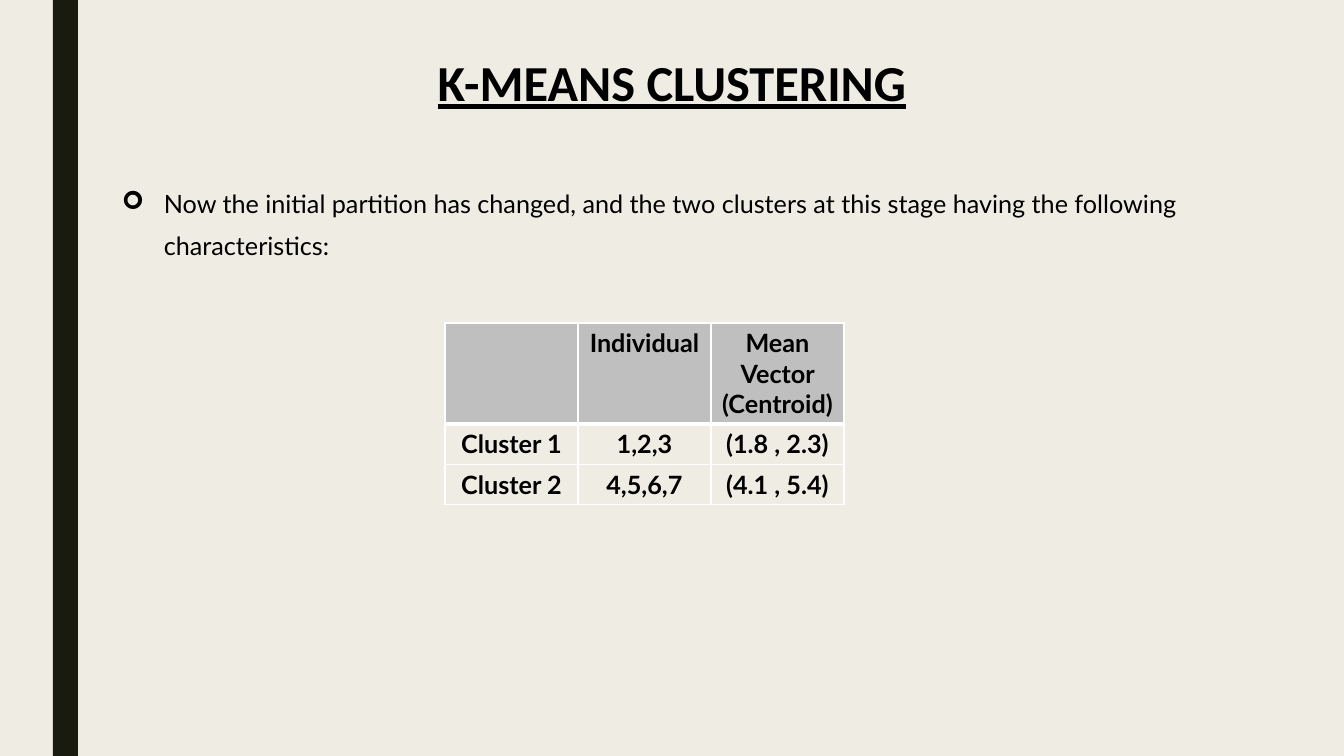
from lxml import etree
from pptx import Presentation
from pptx.dml.color import RGBColor
from pptx.enum.shapes import MSO_SHAPE
from pptx.enum.text import MSO_ANCHOR, MSO_AUTO_SIZE, PP_ALIGN
from pptx.oxml.ns import qn
from pptx.util import Emu, Pt

RECT = MSO_SHAPE.RECTANGLE
MIDDLE = MSO_ANCHOR.MIDDLE
CENTER = PP_ALIGN.CENTER
FIXED = MSO_AUTO_SIZE.NONE

WIDE, HIGH = 1344, 756
PAPER, DARK, GREY, BLACK, WHITE = "EFEDE3", "191B0E", "BFBFBF", "000000", "FFFFFF"

ROWS = [
    ["", "Individual", "Mean Vector (Centroid)"],
    ["Cluster 1", "1,2,3", "(1.8 , 2.3)"],
    ["Cluster 2", "4,5,6,7", "(4.1 , 5.4)"],
]


def px(num):
    return Emu(round(num * 914400 / 100.8))


def paint(fill, color):
    fill.solid()
    fill.fore_color.rgb = RGBColor.from_string(color)


def style(para, size, face, bold=False, line=False):
    for run in para.runs:
        font = run.font
        font.size, font.name = Pt(size), face
        font.bold, font.underline = bold, line
        font.color.rgb = RGBColor.from_string(BLACK)


def add_band(slide, box):
    band = slide.shapes.add_shape(RECT, *map(px, box))
    band.shadow.inherit = False
    paint(band.fill, DARK)
    band.line.fill.background()


def set_title(slide, box, text):
    title = slide.shapes.title
    title.left, title.top, title.width, title.height = map(px, box)
    frame = title.text_frame
    frame.text = text
    frame.auto_size = FIXED
    frame.vertical_anchor = MIDDLE
    para = frame.paragraphs[0]
    para.alignment, para.line_spacing = CENTER, 0.9
    style(para, 36, "Calibri", bold=True, line=True)


def add_point(slide, box, text):
    frame = slide.shapes.add_textbox(*map(px, box)).text_frame
    frame.word_wrap = True
    frame.text = text
    para = frame.paragraphs[0]
    para.line_spacing = 1.4
    para.space_before, para.space_after = Pt(10), Pt(2)
    style(para, 18, "Lato")
    # Hanging bullet
    props = para._p.get_or_add_pPr()
    props.set("marL", str(px(42)))
    props.set("indent", str(-px(42)))
    etree.SubElement(props, qn("a:buFont")).set("typeface", "Wingdings")
    etree.SubElement(props, qn("a:buChar")).set("char", "➢")


def set_edges(cell, widths):
    props = cell._tc.get_or_add_tcPr()
    for spot, (side, width) in enumerate(widths.items()):
        edge = etree.Element(qn(f"a:ln{side}"), w=str(Pt(width)))
        fill = etree.SubElement(edge, qn("a:solidFill"))
        etree.SubElement(fill, qn("a:srgbClr")).set("val", WHITE)
        props.insert(spot, edge)


def add_grid(slide, box, rows):
    grid = slide.shapes.add_table(len(rows), len(rows[0]), *map(px, box)).table
    for col in grid.columns:
        col.width = px(box[2] // len(rows[0]))
    for r, row in enumerate(rows):
        grid.rows[r].height = px(101 if r == 0 else 40)
        for c, text in enumerate(row):
            cell = grid.cell(r, c)
            cell.text = text
            para = cell.text_frame.paragraphs[0]
            para.alignment = CENTER
            style(para, 18, "Lato", bold=True)
            if r == 0:
                paint(cell.fill, GREY)
            else:
                cell.fill.background()
            # Thick rule between the head and the clusters
            set_edges(cell, {"L": 1, "R": 1, "T": 3 if r == 1 else 1,
                             "B": 3 if r == 0 else 1})


def build(deck):
    slide = deck.slides.add_slide(deck.slide_layouts[5])
    paint(slide.background.fill, PAPER)
    add_band(slide, (53, 0, 25, HIGH))
    set_title(slide, (101, 0, 1142, 171), "K-MEANS CLUSTERING")
    add_point(slide, (112, 171, 1142, 532),
              "Now the initial partition has changed, and the two clusters "
              "at this stage having the following characteristics:")
    add_grid(slide, (445, 323, 399, 181), ROWS)


def main():
    deck = Presentation()
    deck.slide_width, deck.slide_height = px(WIDE), px(HIGH)
    build(deck)
    deck.save("out.pptx")


if __name__ == "__main__":
    main()
